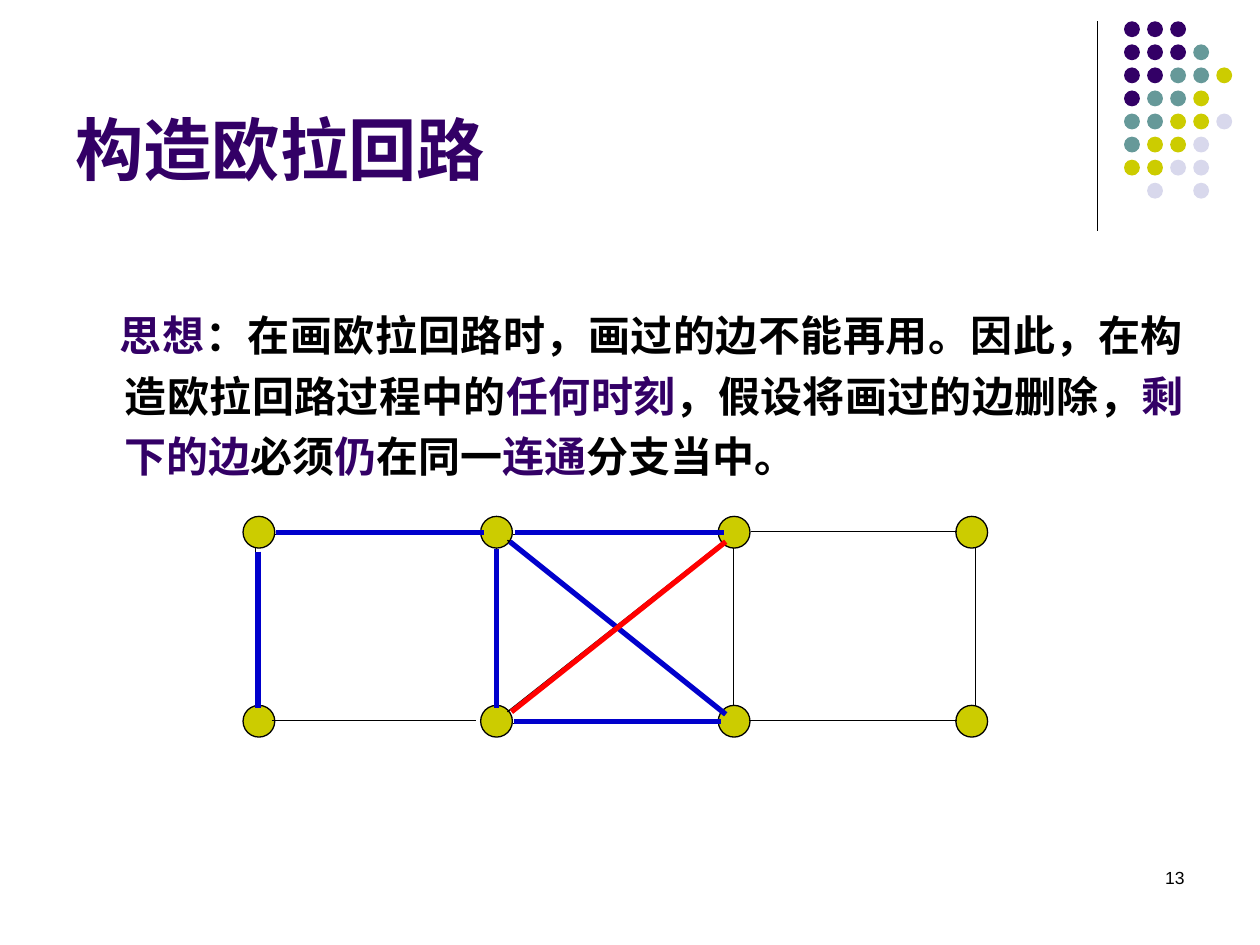
import lxml.etree
import pptx
import pptx.dml.color
import pptx.enum.shapes
import pptx.enum.text
import pptx.oxml.ns
import pptx.util
from pptx.util import Cm

RGBColor = pptx.dml.color.RGBColor
Align = pptx.enum.text.PP_ALIGN
Anchor = pptx.enum.text.MSO_ANCHOR

PURPLE = RGBColor(0x33, 0x00, 0x66)
TEAL = RGBColor(0x66, 0x99, 0x99)
OLIVE = RGBColor(0xCC, 0xCC, 0x00)
LAVENDER = RGBColor(0xD8, 0xD8, 0xEC)
BLACK = RGBColor(0x00, 0x00, 0x00)
BLUE = RGBColor(0x00, 0x00, 0xCC)
RED = RGBColor(0xFF, 0x00, 0x00)

DOT_COLORS = {"P": PURPLE, "T": TEAL, "O": OLIVE, "L": LAVENDER}
DOT_ROWS = ["PPP", "PPPT", "PPTTO", "PTTO", "TTOOL", "TOOL", "OOLL", " L L"]

IDEA = [
    ("思想", PURPLE),
    ("：在画欧拉回路时，画过的边不能再用。因此，在构造欧拉回路过程中的", BLACK),
    ("任何时刻", PURPLE),
    ("，假设将画过的边删除，", BLACK),
    ("剩下的边", PURPLE),
    ("必须", BLACK),
    ("仍", PURPLE),
    ("在同一", BLACK),
    ("连通", PURPLE),
    ("分支当中。", BLACK),
]

# Edges as x1, y1, x2, y2 in cm from the top left of the graph
GRAPH_EDGES = [
    (0.25, 0.64, 0.25, 3.81),
    (0.64, 0.36, 4.83, 0.36),
    (5.11, 0.64, 5.11, 3.84),
    (0.58, 4.11, 4.7, 4.11),
    (5.33, 3.94, 9.68, 0.51),
    (9.88, 0.64, 9.88, 3.81),
    (5.44, 4.17, 9.6, 4.17),
    (10.24, 0.3, 14.4, 0.3),
    (14.76, 0.64, 14.76, 3.81),
    (10.19, 4.11, 14.4, 4.11),
    (5.33, 0.48, 9.7, 3.96),
    (5.44, 0.36, 9.63, 0.36),
]
DRAWN_EDGES = [
    (0.3, 0.71, 0.3, 3.86),
    (0.66, 0.33, 4.85, 0.33),
    (5.38, 0.51, 9.73, 3.99),
    (5.46, 4.14, 9.63, 4.14),
    (5.11, 0.66, 5.11, 3.86),
    (5.49, 0.33, 9.7, 0.33),
]
NEXT_EDGES = [(5.41, 3.94, 9.73, 0.51)]


def add_line(slide, x1, y1, x2, y2, color, width):
    line = slide.shapes.add_connector(
        pptx.enum.shapes.MSO_CONNECTOR.STRAIGHT, Cm(x1), Cm(y1), Cm(x2), Cm(y2))
    line.line.color.rgb = color
    line.line.width = pptx.util.Pt(width)
    properties = line._element.find(pptx.oxml.ns.qn("p:spPr"))
    lxml.etree.SubElement(properties, pptx.oxml.ns.qn("a:effectLst"))


def add_circle(slide, left, top, diameter, fill, outline=None):
    circle = slide.shapes.add_shape(
        pptx.enum.shapes.MSO_SHAPE.OVAL, Cm(left), Cm(top), Cm(diameter), Cm(diameter))
    circle.shadow.inherit = False
    circle.fill.solid()
    circle.fill.fore_color.rgb = fill
    if outline is None:
        circle.line.fill.background()
    else:
        circle.line.color.rgb = outline
        circle.line.width = pptx.util.Pt(0.75)


def add_text(slide, left, top, width, height, parts, size, bold, align, anchor=Anchor.TOP):
    """Add one paragraph of (text, color) parts and return it."""
    text_frame = slide.shapes.add_textbox(
        Cm(left), Cm(top), Cm(width), Cm(height)).text_frame
    text_frame.word_wrap = True
    text_frame.vertical_anchor = anchor
    paragraph = text_frame.paragraphs[0]
    paragraph.alignment = align
    for text, color in parts:
        run = paragraph.add_run()
        run.text = text
        run.font.name = "Arial"
        run.font.size = pptx.util.Pt(size)
        run.font.bold = bold
        run.font.color.rgb = color
    return paragraph


def add_corner_ornament(slide, left, top):
    add_line(slide, left, top, left, top + 4.22, BLACK, 0.75)
    pitch = 0.465
    for row, codes in enumerate(DOT_ROWS):
        for column, code in enumerate(codes):
            if code in DOT_COLORS:
                add_circle(slide, left + 0.54 + column * pitch, top + row * pitch,
                           0.32, DOT_COLORS[code])


def add_idea(slide, left, top, width, height):
    paragraph = add_text(slide, left, top, width, height, IDEA, 24, True, Align.JUSTIFY)
    paragraph.line_spacing = 1.2
    paragraph.space_before = pptx.util.Pt(4.8)
    properties = paragraph._p.get_or_add_pPr()
    properties.set("marL", str(Cm(0.97)))
    properties.set("indent", str(Cm(-0.1)))


def add_graph(slide, left, top):
    for row in range(2):
        for column in range(4):
            add_circle(slide, left + column * 4.79, top + row * 3.81, 0.64, OLIVE, BLACK)
    for edges, color, width in [
        (GRAPH_EDGES, BLACK, 0.75),
        (DRAWN_EDGES, BLUE, 3),
        (NEXT_EDGES, RED, 3),
    ]:
        for x1, y1, x2, y2 in edges:
            add_line(slide, left + x1, top + y1, left + x2, top + y2, color, width)


def main():
    presentation = pptx.Presentation()
    presentation.slide_width = Cm(25.4)
    presentation.slide_height = Cm(19.05)
    slide = presentation.slides.add_slide(presentation.slide_layouts[6])
    add_corner_ornament(slide, 22.12, 0.43)
    add_text(slide, 1.27, 0.33, 20.96, 3.61, [("构造欧拉回路", PURPLE)],
             39, True, Align.LEFT, Anchor.BOTTOM)
    add_idea(slide, 1.3, 5.92, 22.81, 3.78)
    add_graph(slide, 4.9, 10.41)
    add_text(slide, 18.21, 17.35, 5.92, 1.27, [("13", BLACK)], 10, False, Align.RIGHT)
    presentation.save("out.pptx")


if __name__ == "__main__":
    main()
